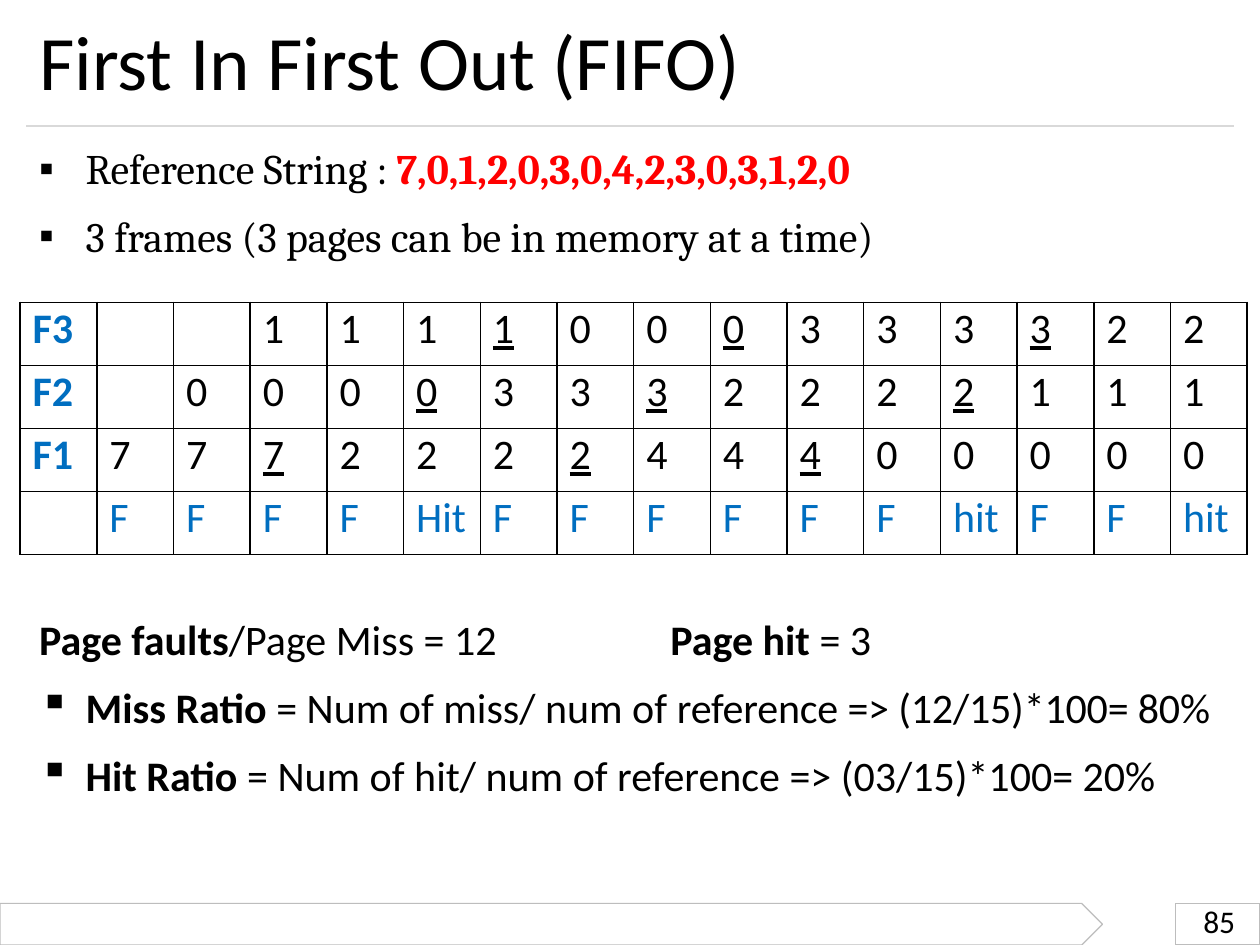
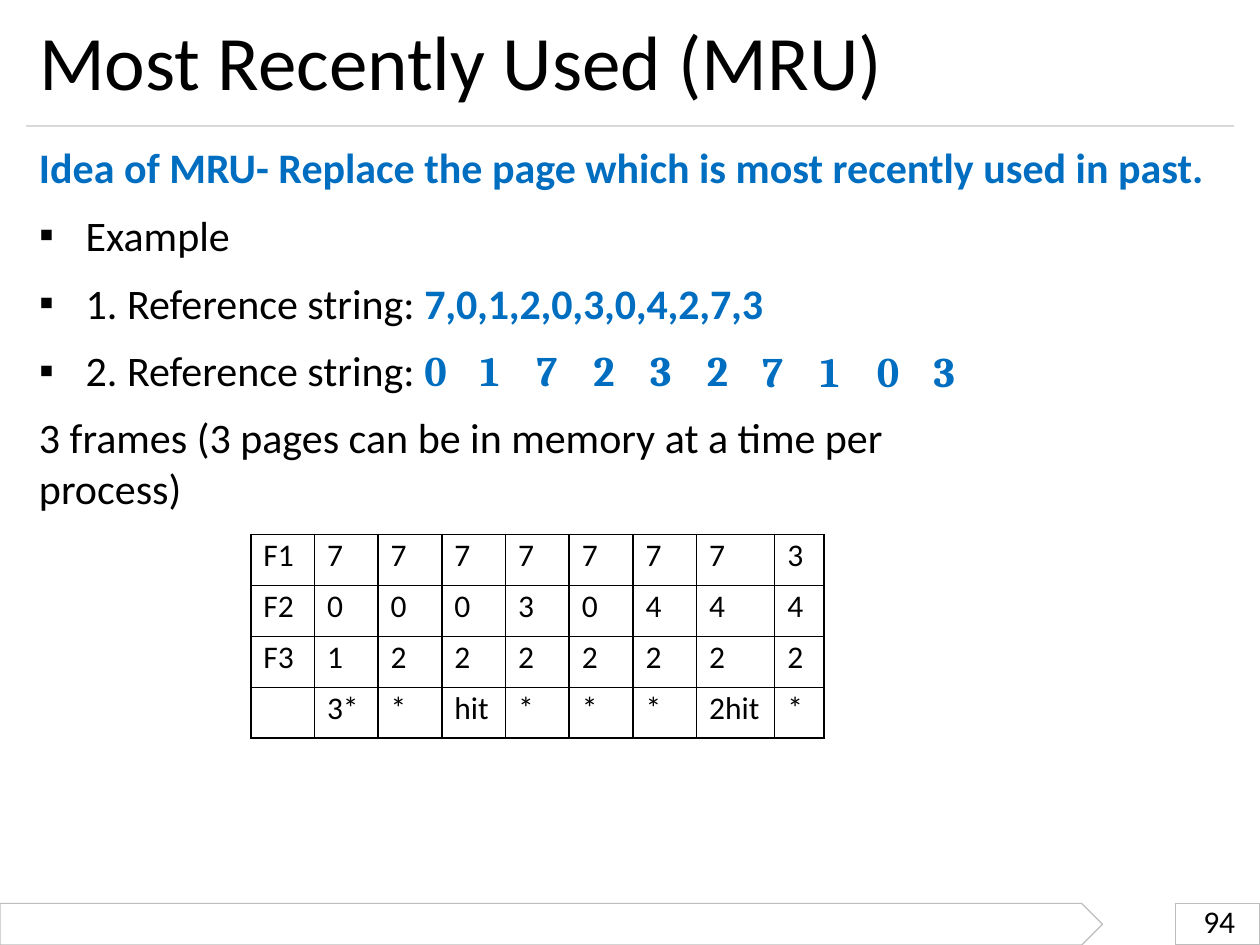
from lxml import etree
from pptx import Presentation
from pptx.dml.color import RGBColor
from pptx.enum import shapes, text
from pptx.oxml import ns
from pptx.util import Inches, Pt

BLACK = RGBColor(0x00, 0x00, 0x00)
BLUE = RGBColor(0x00, 0x6E, 0xC0)
RED = RGBColor(0xFF, 0x00, 0x00)
RULE_GREY = RGBColor(0xD9, 0xD9, 0xD9)
BAND_GREY = RGBColor(0xBD, 0xBD, 0xBD)
SANS = "Calibri"
SERIF = "Cambria"
BODY_SIZE = 24
LEFT = 0.3
DIGIT_STEP = 0.45
TITLE_AND_CONTENT = 1

FIFO_FRAMES = [
    "F3 - - 1 1 1 1_ 0 0 0_ 3 3 3 3_ 2 2",
    "F2 - 0 0 0 0_ 3 3 3_ 2 2 2 2_ 1 1 1",
    "F1 7 7 7_ 2 2 2 2_ 4 4 4_ 0 0 0 0 0",
    "- F F F F Hit F F F F F F hit F F hit",
]
MRU_FRAMES = [
    "F1 7 7 7 7 7 7 7 3",
    "F2 0 0 0 3 0 4 4 4",
    "F3 1 2 2 2 2 2 2 2",
    "- 3* * hit * * * 2hit *",
]


def run(content, bold=False, color=BLACK, font=SANS, spacing=0):
    return content, bold, color, font, spacing


def add_run(paragraph, content, bold, color, font, spacing, size):
    piece = paragraph.add_run()
    piece.text = content
    piece.font.name = font
    piece.font.size = Pt(size)
    piece.font.bold = bold
    piece.font.color.rgb = color
    if spacing:
        piece._r.get_or_add_rPr().set("spc", str(round(spacing * 100)))
    return piece


def child(parent, tag, **attributes):
    return etree.SubElement(parent, ns.qn(tag), **attributes)


def set_bullet_and_tabs(paragraph, bulleted, tabs):
    properties = paragraph._p.get_or_add_pPr()
    if bulleted:
        properties.set("marL", str(Inches(0.38)))
        properties.set("indent", str(Inches(-0.37)))
        child(properties, "a:buChar", char="▪")
    else:
        properties.set("marL", str(Inches(0.01)))
        child(properties, "a:buNone")
    if tabs:
        tab_list = child(properties, "a:tabLst")
        for stop in tabs:
            child(tab_list, "a:tab", pos=str(Inches(stop)), algn="l")


def write_lines(holder, box, lines, size=BODY_SIZE, top_inset=0.01):
    holder.left, holder.top, holder.width, holder.height = map(Inches, box)
    frame = holder.text_frame
    frame.word_wrap = True
    frame.auto_size = text.MSO_AUTO_SIZE.NONE
    frame.vertical_anchor = text.MSO_ANCHOR.TOP
    frame.margin_left = frame.margin_right = frame.margin_bottom = 0
    frame.margin_top = Inches(top_inset)
    for number, (runs, bulleted, tabs) in enumerate(lines):
        paragraph = frame.add_paragraph() if number else frame.paragraphs[0]
        set_bullet_and_tabs(paragraph, bulleted, tabs)
        paragraph.alignment = text.PP_ALIGN.LEFT
        paragraph.space_before = Pt(10 if number else 0)
        for piece in runs:
            add_run(paragraph, *piece, size)


def bullet(*runs, tabs=()):
    return runs, True, tabs


def plain(*runs, tabs=()):
    return runs, False, tabs


def add_text(slide, box, *lines, **style):
    holder = slide.shapes.add_textbox(*map(Inches, box))
    write_lines(holder, box, lines, **style)
    return holder


def add_outline(slide, preset, box):
    outline = slide.shapes.add_shape(preset, *map(Inches, box))
    outline.shadow.inherit = False
    outline.fill.background()
    outline.line.color.rgb = BAND_GREY
    outline.line.width = Pt(0.72)


def add_title_rule(slide):
    rule = slide.shapes.add_connector(
        shapes.MSO_CONNECTOR.STRAIGHT,
        Inches(0.21), Inches(1), Inches(9.79), Inches(1))
    rule.line.color.rgb = RULE_GREY
    rule.line.width = Pt(0.72)
    child(rule._element.spPr, "a:effectLst")


def start_slide(deck, title, page_number):
    slide = deck.slides.add_slide(deck.slide_layouts[TITLE_AND_CONTENT])
    add_outline(slide, shapes.MSO_SHAPE.RECTANGLE, (9.33, 7.17, 0.67, 0.33))
    add_title_rule(slide)
    add_outline(slide, shapes.MSO_SHAPE.PENTAGON, (0, 7.17, 8.75, 0.33))
    write_lines(slide.shapes.title, (LEFT, 0.1, 9.41, 0.76),
                [plain(run(title))], size=44)
    number = add_text(slide, (9.54, 7.21, 0.34, 0.28),
                      plain(run(page_number)), size=18, top_inset=0)
    number.text_frame.paragraphs[0].line_spacing = Pt(18.1)
    return slide


def draw_borders(cell):
    properties = cell._tc.get_or_add_tcPr()
    for side in ("a:lnL", "a:lnR", "a:lnT", "a:lnB"):
        line = child(properties, side, w=str(Pt(1)))
        child(child(line, "a:solidFill"), "a:srgbClr", val=str(BLACK))


def add_frame_table(slide, left, top, widths, height, rows, size, top_inset,
                    label_color=BLACK, label_bold=False):
    table = slide.shapes.add_table(
        len(rows), len(widths), Inches(left), Inches(top),
        Inches(sum(widths)), Inches(height)).table
    table.first_row = table.horz_banding = False
    for column, width in zip(table.columns, widths):
        column.width = Inches(width)
    for row_index, row in enumerate(rows):
        for column_index, entry in enumerate(row.split()):
            cell = table.cell(row_index, column_index)
            draw_borders(cell)
            cell.fill.background()
            cell.margin_left, cell.margin_top = Inches(0.1), Inches(top_inset)
            cell.margin_right = cell.margin_bottom = 0
            if entry == "-":
                continue
            is_label = column_index == 0
            is_result = row_index == len(rows) - 1
            color = label_color if is_label or is_result else BLACK
            value = add_run(
                cell.text_frame.paragraphs[0],
                *run(entry.rstrip("_"), is_label and label_bold, color), size)
            if entry.endswith("_"):
                value.font.underline = True


def build_fifo(deck):
    slide = start_slide(deck, "First In First Out (FIFO)", "85")
    write_lines(slide.placeholders[1], (LEFT, 0.98, 6.99, 1.1), [
        bullet(run("Reference String : ", font=SERIF),
               run("7,0,1,2,0,3,0,4,2,3,0,3,1,2,0", True, RED, SERIF, -0.1)),
        bullet(run("3 frames (3 pages can be in memory at a time)", font=SERIF)),
    ], top_inset=0.15)
    add_text(
        slide, (LEFT, 4.72, 9.45, 1.65),
        plain(run("Page faults", True), run("/Page Miss = 12\t"),
              run("Page hit ", True), run("= 3"), tabs=[5.01]),
        bullet(run("Miss Ratio ", True), run("= Num of miss/ num of "),
               run("reference => (12/15)*100= 80%", spacing=-0.1)),
        bullet(run("Hit Ratio ", True),
               run("= Num of hit/ num of reference => (03/15)*100= 20%")),
        top_inset=0.15)
    add_frame_table(slide, 0.16, 2.4, [9.74 / 16] * 16, 2, FIFO_FRAMES,
                    BODY_SIZE, 0.01, label_color=BLUE, label_bold=True)


def build_mru(deck):
    slide = start_slide(deck, "Most Recently Used (MRU)", "94")
    add_text(slide, (LEFT, 1.11, 9.4, 0.43), plain(run(
        "Idea of MRU- Replace the page which is most recently used in past.",
        True, BLUE)))
    write_lines(slide.placeholders[1], (LEFT, 1.51, 6, 1.65), [
        bullet(run("Example")),
        bullet(run("1. Reference string: "),
               run("7,0,1,2,0,3,0,4,2,7,3", True, BLUE, spacing=-0.1)),
        bullet(run("2. Reference string: "),
               run("0\t1\t7\t2\t3\t2", True, BLUE, SERIF),
               tabs=[3.51 + DIGIT_STEP * step for step in range(5)]),
    ], top_inset=0.15)
    add_text(slide, (6.04, 2.73, 1.7, 0.43),
             plain(run("7\t1\t0\t3", True, BLUE, SERIF),
                   tabs=[0.01 + DIGIT_STEP * step for step in range(1, 4)]))
    add_text(slide, (LEFT, 3.26, 7.8, 0.85), plain(run(
        "3 frames (3 pages can be in memory at a time per process)")))
    add_frame_table(slide, 1.99, 4.24, [3.54 / 7] * 7 + [0.62, 0.39], 1.62,
                    MRU_FRAMES, 18, 0.02)


def main():
    deck = Presentation()
    deck.slide_width, deck.slide_height = Inches(10), Inches(7.5)
    build_fifo(deck)
    build_mru(deck)
    deck.save("out.pptx")


if __name__ == "__main__":
    main()
